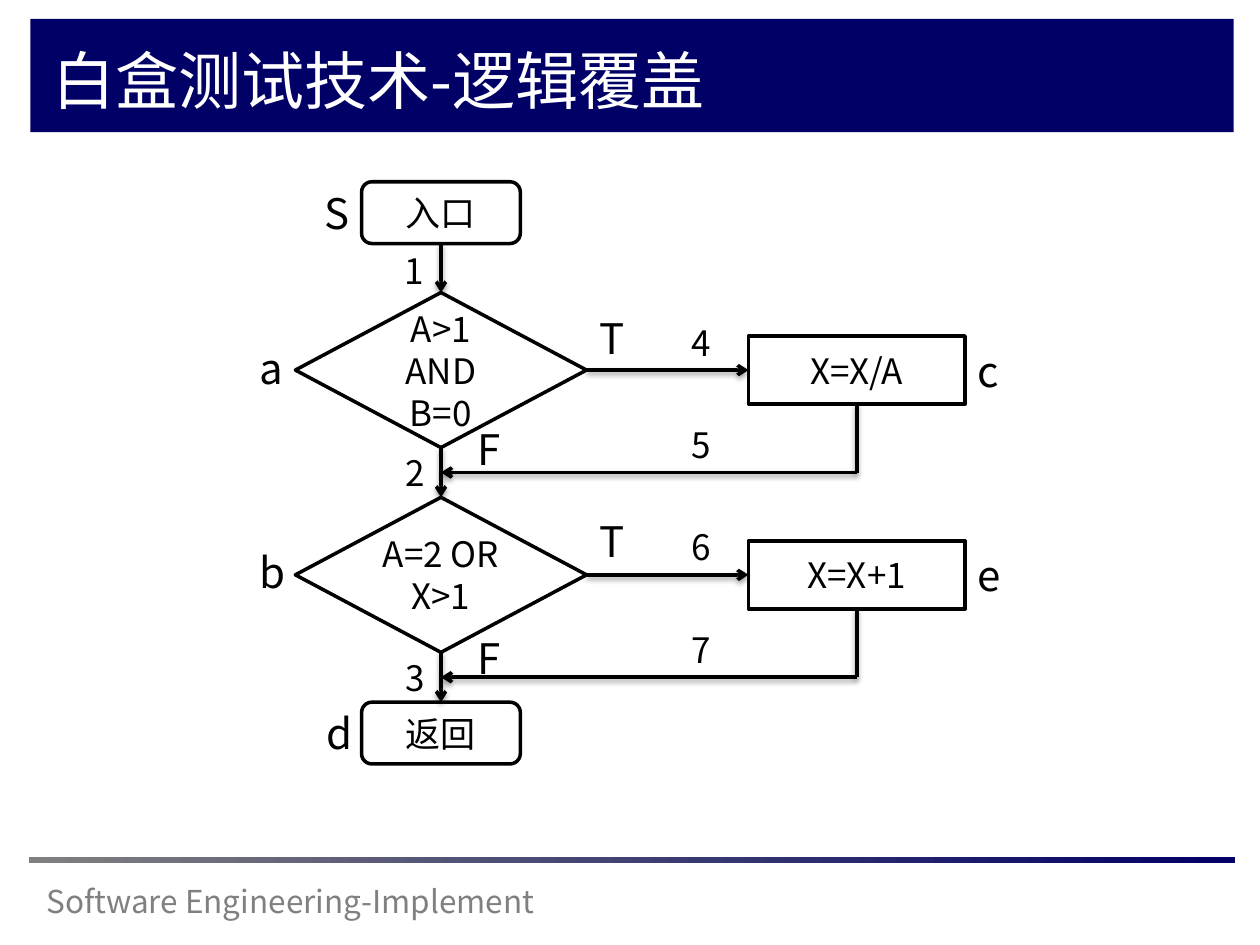
"""Build a slide with the flowchart used to explain logic coverage."""
from typing import NamedTuple

from lxml import etree
from pptx import Presentation, util as u
from pptx.dml.color import RGBColor
from pptx.enum import shapes, text
from pptx.oxml import ns

FONT = "Noto Sans CJK SC"
NAVY = RGBColor(0x00, 0x00, 0x66)
GRAY = RGBColor(0x80, 0x80, 0x80)
BLACK = RGBColor(0x00, 0x00, 0x00)
WHITE = RGBColor(0xFF, 0xFF, 0xFF)

AXIS_X = 252
BRANCH_X = 489.6
ROW_PITCH = 117
TERMINAL = (90.7, 35.3)
DECISION = (166.4, 88.6)
PROCESS = (123.8, 38.9)
FIRST_DECISION_Y = 211.5
ENTRY_Y = 121.5
EXIT_Y = 418.9
RETURN_DROP = 58.5
LABEL_WIDTH = 27.4
POINT_SIZE = 24
STEP_SIZE = 20


class Node(NamedTuple):
    kind: shapes.MSO_SHAPE
    wording: str
    center: tuple[float, float]
    size: tuple[float, float]


class Arrow(NamedTuple):
    start: tuple[float, float]
    end: tuple[float, float]
    has_head: bool = True


class Label(NamedTuple):
    wording: str
    left: float
    top: float
    size: int


class Row(NamedTuple):
    condition: str
    action: str


ROWS = [Row("A>1 AND B=0", "X=X/A"), Row("A=2 OR X>1", "X=X+1")]

LABELS = [
    Label("S", 178.6, 103.7, POINT_SIZE),
    Label("a", 141.1, 192.2, POINT_SIZE),
    Label("b", 141.1, 308.9, POINT_SIZE),
    Label("c", 551.5, 193.7, POINT_SIZE),
    Label("e", 551.5, 310.3, POINT_SIZE),
    Label("d", 179.3, 401, POINT_SIZE),
    Label("1", 224, 139, STEP_SIZE),
    Label("2", 224.6, 254.2, STEP_SIZE),
    Label("3", 224.6, 371.5, STEP_SIZE),
    *(Label(str(step), 388, 180 + index * ROW_PITCH / 2, STEP_SIZE)
      for index, step in enumerate(range(4, 8))),
    Label("T", 335.5, 175, POINT_SIZE),
    Label("T", 335.5, 291, POINT_SIZE),
    Label("F", 265.7, 238.3, POINT_SIZE),
    Label("F", 265.7, 357.8, POINT_SIZE),
]


def add_run(paragraph, wording: str, size: float, color: RGBColor) -> None:
    """Append one formatted run to a paragraph."""
    run = paragraph.add_run()
    run.text = wording
    run.font.name = FONT
    run.font.size = u.Pt(size)
    run.font.color.rgb = color
    properties = run.font._element
    etree.SubElement(properties, ns.qn("a:ea"), typeface=FONT)


def add_panel(slide, left: float, top: float, width: float, height: float):
    """Add a plain rectangle without outline or shadow."""
    shape = slide.shapes.add_shape(
        shapes.MSO_SHAPE.RECTANGLE, u.Pt(left), u.Pt(top), u.Pt(width), u.Pt(height))
    shape.shadow.inherit = False
    shape.line.fill.background()
    return shape


def add_text(slide, label: Label, width: float, color: RGBColor) -> None:
    """Add a wrapping text box sized to one line."""
    box = slide.shapes.add_textbox(
        u.Pt(label.left), u.Pt(label.top), u.Pt(width), u.Pt(label.size * 1.2 + 7.2))
    box.text_frame.word_wrap = True
    add_run(box.text_frame.paragraphs[0], label.wording, label.size, color)


def add_node(slide, node: Node) -> None:
    """Add a flowchart shape around its centre."""
    (x, y), (width, height) = node.center, node.size
    shape = slide.shapes.add_shape(
        node.kind, u.Pt(x - width / 2), u.Pt(y - height / 2), u.Pt(width), u.Pt(height))
    shape.shadow.inherit = False
    shape.fill.solid()
    shape.fill.fore_color.rgb = WHITE
    shape.line.color.rgb = BLACK
    shape.line.width = u.Pt(2)
    frame = shape.text_frame
    frame.word_wrap = True
    frame.vertical_anchor = text.MSO_ANCHOR.MIDDLE
    paragraph = frame.paragraphs[0]
    paragraph.alignment = text.PP_ALIGN.CENTER
    add_run(paragraph, node.wording, STEP_SIZE, BLACK)


def add_arrow(slide, arrow: Arrow) -> None:
    """Add a straight connector with a soft shadow and an optional head."""
    connector = slide.shapes.add_connector(
        shapes.MSO_CONNECTOR.STRAIGHT, *(u.Pt(value) for value in arrow.start + arrow.end))
    connector.line.color.rgb = BLACK
    connector.line.width = u.Pt(2)
    properties = connector.element.spPr
    if arrow.has_head:
        etree.SubElement(properties.find(ns.qn("a:ln")), ns.qn("a:tailEnd"), type="arrow")
    effects = etree.SubElement(properties, ns.qn("a:effectLst"))
    shadow = etree.SubElement(
        effects, ns.qn("a:outerShdw"), blurRad=str(u.Pt(3.1)), dist=str(u.Pt(1.6)),
        dir="5400000", rotWithShape="0")
    color = etree.SubElement(shadow, ns.qn("a:srgbClr"), val=str(BLACK))
    etree.SubElement(color, ns.qn("a:alpha"), val="38000")


def add_frame(slide) -> None:
    """Add the title bar, title, footer and footer rule."""
    bar = add_panel(slide, 17.3, 10.8, 687.6, 64.8)
    bar.fill.solid()
    bar.fill.fore_color.rgb = NAVY
    add_text(slide, Label("Software Engineering-Implement", 19.4, 500.4, 18), 372.2, GRAY)
    rule = add_panel(slide, 16.6, 489.6, 689, 3.6)
    rule.fill.gradient()
    rule.fill.gradient_angle = 0
    for stop, color, position in zip(rule.fill.gradient_stops, (GRAY, NAVY), (0, 1)):
        stop.color.rgb = color
        stop.position = position
    title = slide.shapes.title
    title.left, title.top, title.width, title.height = map(u.Pt, (23, 18.7, 634.3, 53.3))
    title.text_frame.auto_size = text.MSO_AUTO_SIZE.NONE
    title.text_frame.vertical_anchor = text.MSO_ANCHOR.MIDDLE
    paragraph = title.text_frame.paragraphs[0]
    paragraph.alignment = text.PP_ALIGN.LEFT
    add_run(paragraph, "白盒测试技术-逻辑覆盖", 36, WHITE)
    title.element.getparent().append(title.element)


def add_flowchart(slide) -> None:
    """Add the nodes, the arrows and the labels."""
    kinds = shapes.MSO_SHAPE
    nodes = [Node(kinds.FLOWCHART_ALTERNATE_PROCESS, "入口", (AXIS_X, ENTRY_Y), TERMINAL)]
    arrows = []
    above = ENTRY_Y + TERMINAL[1] / 2
    for index, row in enumerate(ROWS):
        y = FIRST_DECISION_Y + index * ROW_PITCH
        return_y = y + RETURN_DROP
        nodes += [
            Node(kinds.FLOWCHART_DECISION, row.condition, (AXIS_X, y), DECISION),
            Node(kinds.FLOWCHART_PROCESS, row.action, (BRANCH_X, y), PROCESS),
        ]
        arrows += [
            Arrow((AXIS_X, above), (AXIS_X, y - DECISION[1] / 2)),
            Arrow((AXIS_X + DECISION[0] / 2, y), (BRANCH_X - PROCESS[0] / 2, y)),
            Arrow((BRANCH_X, return_y), (AXIS_X, return_y)),
            Arrow((BRANCH_X, y + PROCESS[1] / 2), (BRANCH_X, return_y), False),
        ]
        above = y + DECISION[1] / 2
    nodes.append(Node(kinds.FLOWCHART_ALTERNATE_PROCESS, "返回", (AXIS_X, EXIT_Y), TERMINAL))
    arrows.append(Arrow((AXIS_X, above), (AXIS_X, EXIT_Y - TERMINAL[1] / 2)))
    for node in nodes:
        add_node(slide, node)
    for arrow in arrows:
        add_arrow(slide, arrow)
    for label in LABELS:
        add_text(slide, label, LABEL_WIDTH, BLACK)


def main() -> None:
    """Create and save the presentation."""
    presentation = Presentation()
    presentation.slide_width, presentation.slide_height = u.Pt(720), u.Pt(540)
    slide = presentation.slides.add_slide(presentation.slide_layouts[5])
    add_frame(slide)
    add_flowchart(slide)
    presentation.save("out.pptx")


if __name__ == "__main__":
    main()
